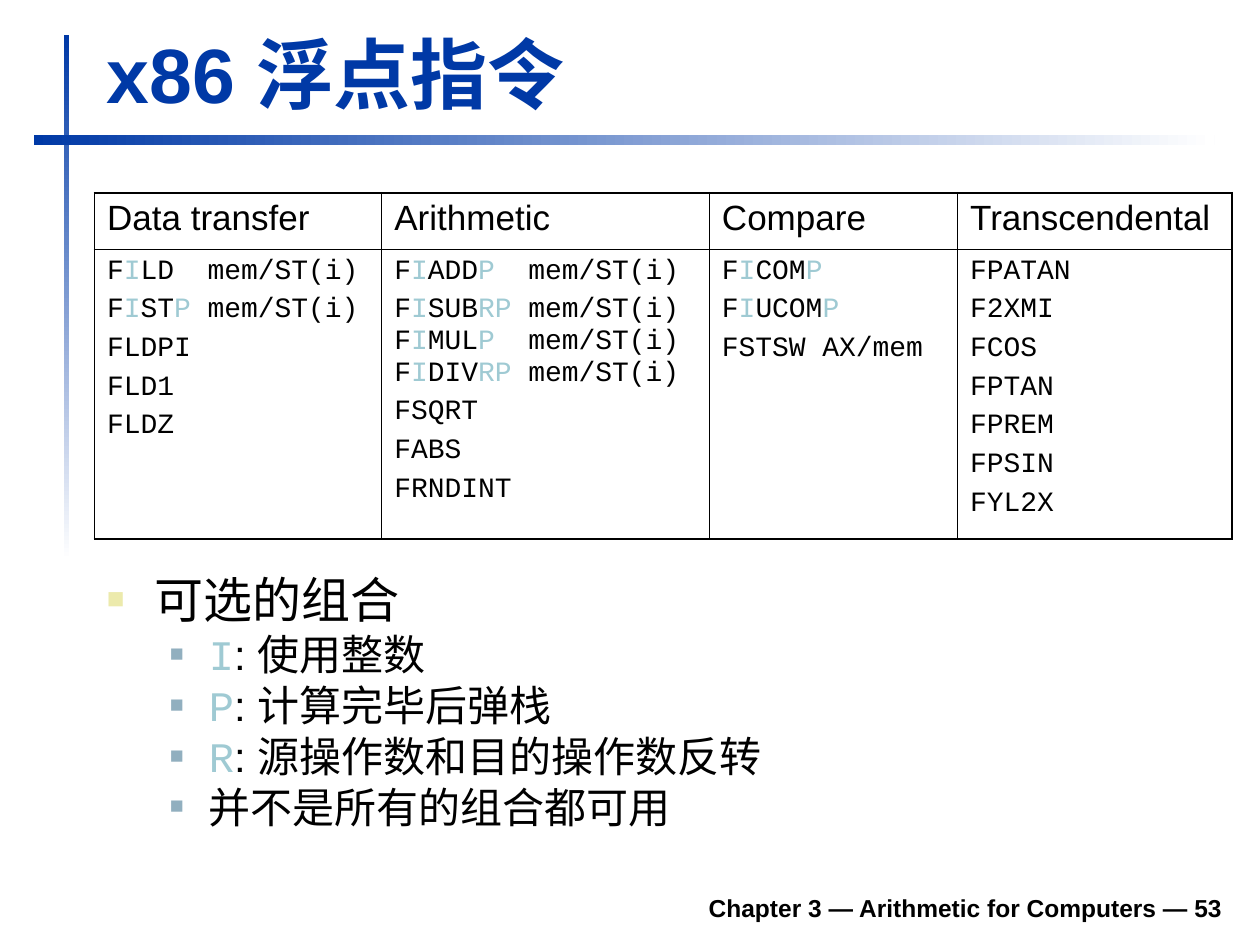
"""Build the slide on x86 floating-point instructions."""
from lxml import etree
from pptx import Presentation
from pptx import util as u
from pptx.dml.color import RGBColor
from pptx.enum import shapes, text
from pptx.oxml import ns

COLORS = {"blue": "0039A6", "white": "FFFFFF", "black": "000000",
          "accent": "9FCAD3", "bullet": "ECEAAC", "subbullet": "91AFBF"}


def add_runs(p, marked, size, font="Arial", color="black", accent_font="Courier New", bold=False):
    """Add runs to a paragraph; text between bars takes the accent colour."""
    for i, part in enumerate(marked.split("|")):
        if part:
            r = p.add_run()
            r.text = part
            r.font.size = u.Pt(size)
            r.font.bold = bold
            r.font.name = accent_font if i % 2 else font
            r.font.color.rgb = RGBColor.from_string(COLORS["accent" if i % 2 else color])


def add_box(s, left, top, width, height, anchor):
    """Add a wrapping text box and return its text frame."""
    tf = s.shapes.add_textbox(*map(u.Inches, (left, top, width, height))).text_frame
    tf.word_wrap = True
    tf.vertical_anchor = anchor
    return tf


prs = Presentation()
prs.slide_width, prs.slide_height = u.Inches(10), u.Inches(7.5)
s = prs.slides.add_slide(prs.slide_layouts[6])

for box, angle in (((0.51, 0.28, 0.04, 4.17), 270), ((0.27, 1.07, 9.37, 0.08), 0)):
    sp = s.shapes.add_shape(shapes.MSO_SHAPE.RECTANGLE, *map(u.Inches, box))
    sp.shadow.inherit = False
    sp.line.fill.background()
    sp.fill.gradient()
    sp.fill.gradient_angle = angle
    for stop, name in zip(sp.fill.gradient_stops, ("blue", "white")):
        stop.color.rgb = RGBColor.from_string(COLORS[name])

tf = add_box(s, 1.85, 6.98, 7.95, 0.39, text.MSO_ANCHOR.BOTTOM)
tf.paragraphs[0].alignment = text.PP_ALIGN.RIGHT
add_runs(tf.paragraphs[0], "Chapter 3 — Arithmetic for Computers — 53", 14, bold=True)

tf = add_box(s, 0.75, 0.16, 9.03, 0.83, text.MSO_ANCHOR.BOTTOM)
add_runs(tf.paragraphs[0], "x86 浮点指令", 44, color="blue", bold=True)

options = [(0, "可选的组合"), (1, "|I|: 使用整数"), (1, "|P|: 计算完毕后弹栈"),
           (1, "|R|: 源操作数和目的操作数反转"), (1, "并不是所有的组合都可用")]
levels = [(0.38, 0.38, 28, 0, "bullet", 60), (0.81, 0.31, 24, 6, "subbullet", 55)]
tf = add_box(s, 0.75, 4.56, 9.04, 2.26, text.MSO_ANCHOR.TOP)
for i, (level, marked) in enumerate(options):
    margin, hang, size, before, color, percent = levels[level]
    p = tf.paragraphs[0] if i == 0 else tf.add_paragraph()
    p.level = level
    pPr = p._p.get_or_add_pPr()
    pPr.set("marL", str(u.Inches(margin)))
    pPr.set("indent", str(-u.Inches(hang)))
    clr = etree.SubElement(pPr, ns.qn("a:buClr"))
    etree.SubElement(clr, ns.qn("a:srgbClr"), val=COLORS[color])
    etree.SubElement(pPr, ns.qn("a:buSzPct"), val=str(percent * 1000))
    etree.SubElement(pPr, ns.qn("a:buFont"), typeface="Arial")
    etree.SubElement(pPr, ns.qn("a:buChar"), char="■")
    p.line_spacing = 0.8
    p.space_before = u.Pt(before)
    add_runs(p, marked, size)

instructions = {
    "Data transfer": ["F|I|LD  mem/ST(i)", "F|I|ST|P| mem/ST(i)", "FLDPI", "FLD1", "FLDZ"],
    "Arithmetic": ["F|I|ADD|P|  mem/ST(i)",
                   "F|I|SUB|RP| mem/ST(i) F|I|MUL|P|  mem/ST(i) F|I|DIV|RP| mem/ST(i)",
                   "FSQRT", "FABS", "FRNDINT"],
    "Compare": ["F|I|COM|P|", "F|I|UCOM|P|", "FSTSW AX/mem"],
    "Transcendental": ["FPATAN", "F2XMI", "FCOS", "FPTAN", "FPREM", "FPSIN", "FYL2X"],
}
widths, heights = (2.28, 2.6, 1.97, 2.18), (0.45, 2.3)
table = s.shapes.add_table(2, 4, *map(u.Inches, (0.75, 1.53, 9.03, 2.75))).table
table.first_row = table.horz_banding = False
for row, height in zip(table.rows, heights):
    row.height = u.Inches(height)
for col, (heading, names) in enumerate(instructions.items()):
    table.columns[col].width = u.Inches(widths[col])
    for row, (lines, size, font) in enumerate((([heading], 20, "Arial"), (names, 16, "Courier New"))):
        cell = table.cell(row, col)
        cell.fill.background()
        for i, marked in enumerate(lines):
            p = cell.text_frame.paragraphs[0] if i == 0 else cell.text_frame.add_paragraph()
            p.space_before = u.Pt(4 if i else 0)
            add_runs(p, marked, size, font)
        borders = {"L": 0.45 if col else 1.08, "R": 1.08 if col == 3 else 0.45,
                   "T": 0.75 if row else 1.08, "B": 1.08 if row else 0.75}
        tcPr = cell._tc.get_or_add_tcPr()
        for i, (side, weight) in enumerate(borders.items()):
            ln = etree.Element(ns.qn("a:ln" + side), w=str(u.Pt(weight)))
            fill = etree.SubElement(ln, ns.qn("a:solidFill"))
            etree.SubElement(fill, ns.qn("a:srgbClr"), val=COLORS["black"])
            tcPr.insert(i, ln)

prs.save("out.pptx")
